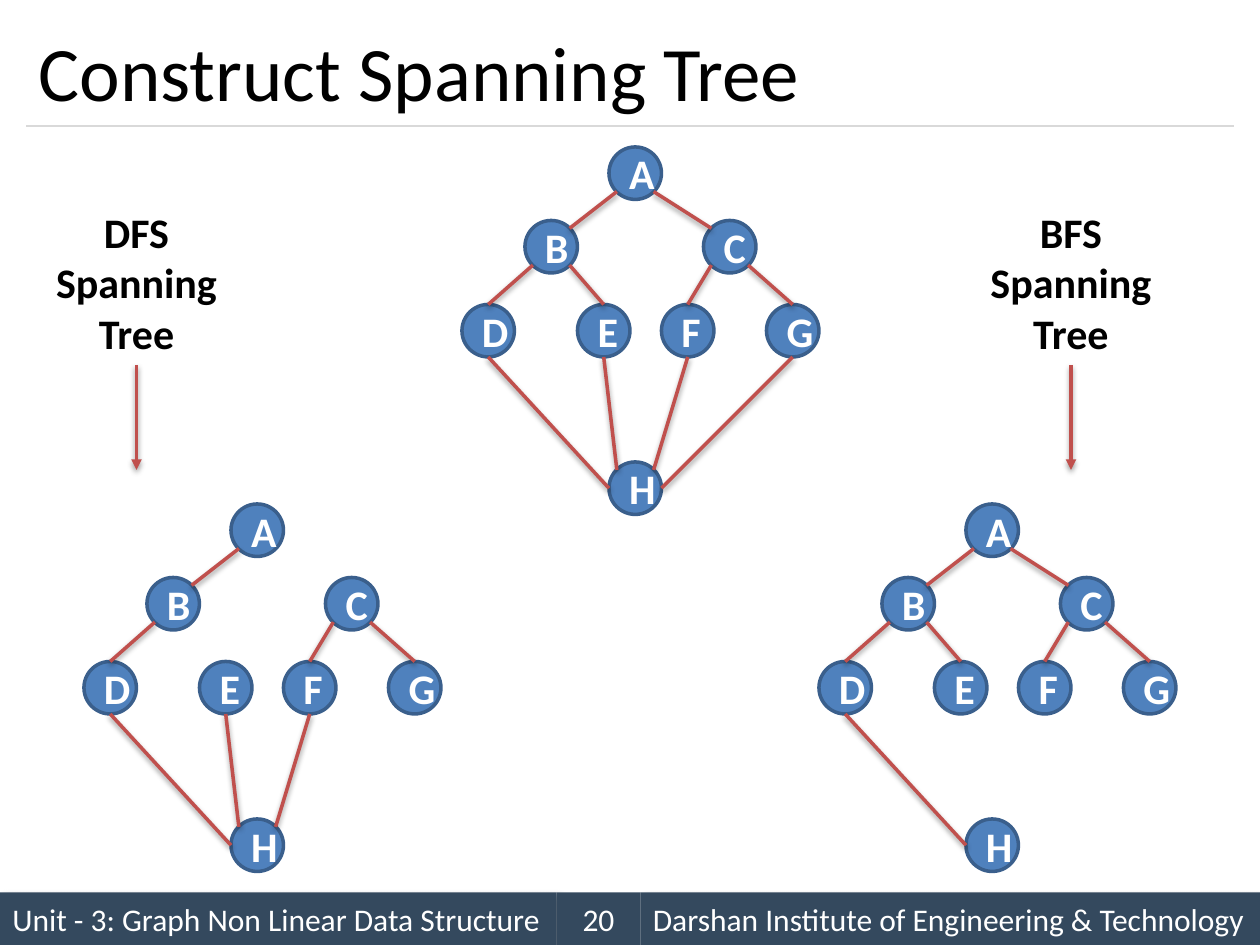
"""Build a slide that compares the DFS and BFS spanning trees of one graph."""
from pptx import Presentation
from pptx.dml.color import RGBColor
from pptx.enum.shapes import MSO_CONNECTOR, MSO_SHAPE
from pptx.enum.text import MSO_ANCHOR, PP_ALIGN
from pptx.oxml import parse_xml
from pptx.oxml.ns import nsdecls, qn
from pptx.util import Inches, Pt

COLORS = {
    "bar": "34495E", "rule": "D9D9D9", "node": "4F81BD", "rim": "3A5F8C",
    "edge": "C0504D", "white": "FFFFFF", "black": "000000",
}
RGB = {name: RGBColor.from_string(value) for name, value in COLORS.items()}
NS = nsdecls("a")
SHADOW = (
    f"<a:effectLst {NS}>"
    '<a:outerShdw blurRad="{}" dist="{}" dir="{}" rotWithShape="0">'
    '<a:srgbClr val="000000"><a:alpha val="{}"/></a:srgbClr>'
    "</a:outerShdw></a:effectLst>"
)
EDGE_SHADOW = SHADOW.format(40000, 20000, 5400000, 38000)
BAR_SHADOW = SHADOW.format(50800, 38100, 2700000, 40000)
NO_SHADOW = f"<a:effectLst {NS}/>"

prs = Presentation()
prs.slide_width, prs.slide_height = Inches(10), Inches(7.5)
s = prs.slides.add_slide(prs.slide_layouts[6])
UNIT = prs.slide_width // 120


def write(sp, lines, size, color, align=PP_ALIGN.LEFT, bold=False, wrap=True):
    tf = sp.text_frame
    tf.word_wrap = wrap
    tf.vertical_anchor = MSO_ANCHOR.MIDDLE
    for i, line in enumerate(lines):
        p = tf.paragraphs[0] if i == 0 else tf.add_paragraph()
        p.alignment = align
        r = p.add_run()
        r.text = line
        r.font.name, r.font.size, r.font.bold = "Calibri", Pt(size), bold
        r.font.color.rgb = RGB[color]


def connect(start, end, color, width, effect, arrow=False):
    points = [round(v * UNIT) for v in (*start, *end)]
    c = s.shapes.add_connector(MSO_CONNECTOR.STRAIGHT, *points)
    c.line.color.rgb = RGB[color]
    c.line.width = Pt(width)
    if arrow:
        ln = c._element.spPr.find(qn("a:ln"))
        ln.append(parse_xml(f'<a:tailEnd {NS} type="triangle"/>'))
    c._element.spPr.append(parse_xml(effect))


footer = [
    (0, 53, "Unit - 3: Graph Non Linear Data Structure", PP_ALIGN.LEFT, BAR_SHADOW),
    (61, 59, "Darshan Institute of Engineering & Technology", PP_ALIGN.LEFT, BAR_SHADOW),
    (53, 8, "20", PP_ALIGN.CENTER, NO_SHADOW),
]
for col, span, text, align, effect in footer:
    sp = s.shapes.add_shape(
        MSO_SHAPE.RECTANGLE, col * UNIT, 85 * UNIT, span * UNIT, 5 * UNIT)
    sp.fill.solid()
    sp.fill.fore_color.rgb = RGB["bar"]
    sp.line.fill.background()
    sp._element.spPr.append(parse_xml(effect))
    write(sp, [text], 18, "white", align)

connect((2.5, 12), (117.5, 12), "rule", 0.75, NO_SHADOW)
title = s.shapes.add_textbox(
    round(2.5 * UNIT), round(1.5 * UNIT), 115 * UNIT, round(10.5 * UNIT))
write(title, ["Construct Spanning Tree"], 44, "black")

SIZE = 5
NODES = {
    "A": (14, 0), "B": (6, 7), "C": (23, 7), "D": (0, 15),
    "E": (11, 15), "F": (19, 15), "G": (29, 15), "H": (14, 30),
}
SITES = {
    "N": (0.5, 0), "S": (0.5, 1), "W": (0, 0.5), "E": (1, 0.5),
    "NW": (0.15, 0.15), "NE": (0.85, 0.15), "SW": (0.15, 0.85), "SE": (0.85, 0.85),
}
EDGES = {
    "AB": ("SW", "NE"), "AC": ("SE", "NW"), "BD": ("SW", "N"), "BE": ("SE", "N"),
    "CF": ("SW", "N"), "CG": ("SE", "N"), "DH": ("S", "W"), "EH": ("S", "NW"),
    "FH": ("S", "NE"), "GH": ("S", "E"),
}
trees = [
    (44, 14, list(EDGES)),
    (8, 48, ["AB", "BD", "CF", "CG", "DH", "EH", "FH"]),
    (78, 48, ["AB", "AC", "BD", "BE", "CF", "CG", "DH"]),
]
for left, top, edges in trees:
    for name, (col, row) in NODES.items():
        sp = s.shapes.add_shape(
            MSO_SHAPE.OVAL, (left + col) * UNIT, (top + row) * UNIT,
            SIZE * UNIT, SIZE * UNIT)
        sp.shadow.inherit = False
        sp.fill.solid()
        sp.fill.fore_color.rgb = RGB["node"]
        sp.line.color.rgb = RGB["rim"]
        sp.line.width = Pt(2)
        write(sp, [name], 24, "white", PP_ALIGN.CENTER, bold=True)
    for edge in edges:
        ends = []
        for name, site in zip(edge, EDGES[edge]):
            (col, row), (fx, fy) = NODES[name], SITES[site]
            ends.append((left + col + fx * SIZE, top + row + fy * SIZE))
        connect(*ends, "edge", 2, EDGE_SHADOW)

for kind, center in (("DFS", 13), ("BFS", 102)):
    sp = s.shapes.add_textbox(
        (center - 9) * UNIT, 19 * UNIT, 18 * UNIT, round(15.75 * UNIT))
    write(sp, [kind, "Spanning", "Tree"], 24, "black", PP_ALIGN.CENTER,
          bold=True, wrap=False)
    connect((center, 34.75), (center, 44.75), "edge", 2, EDGE_SHADOW, arrow=True)

prs.save("out.pptx")
